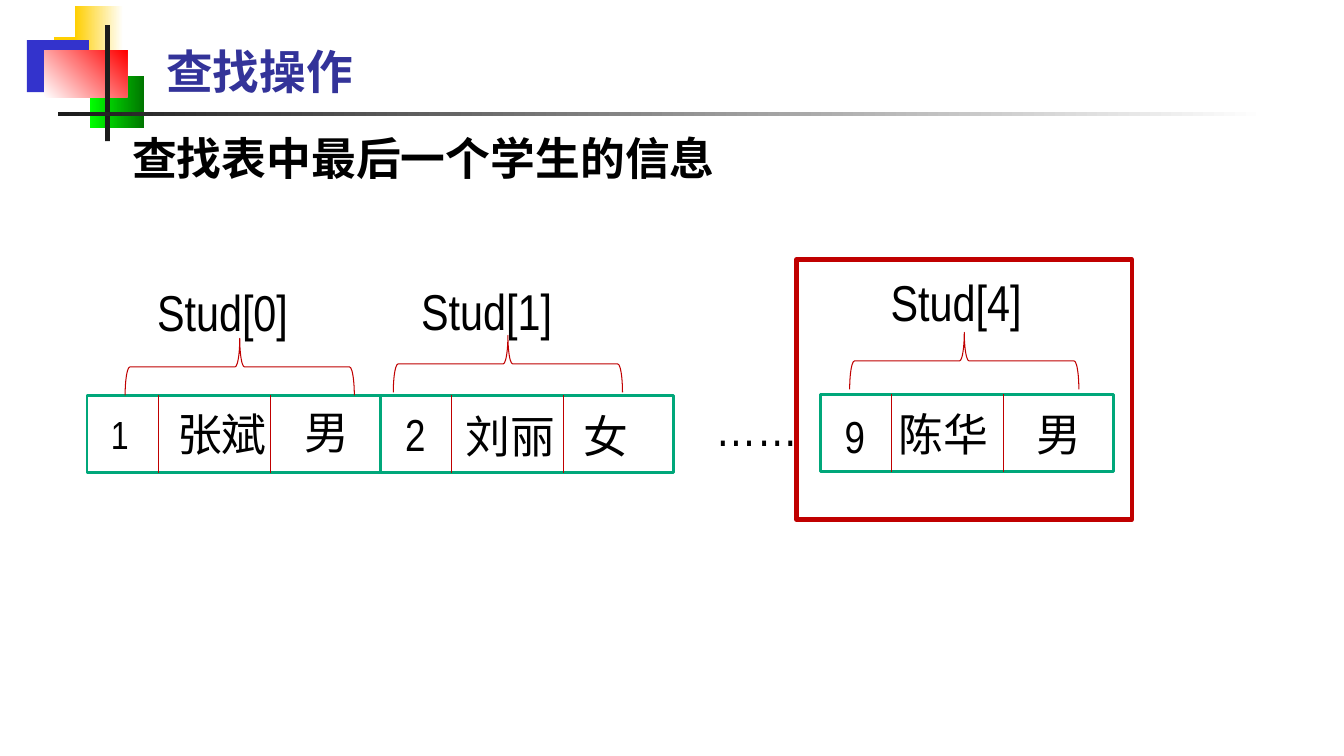
import pptx
import pptx.util
import pptx.dml.color
import pptx.enum.shapes
import pptx.enum.text
import pptx.oxml.ns
import lxml.etree

RGB = pptx.dml.color.RGBColor
SHAPE = pptx.enum.shapes.MSO_SHAPE
YELLOW, BLUE, WHITE = RGB(0xFF, 0xCF, 0x01), RGB(0x33, 0x33, 0xCC), RGB(0xFF, 0xFF, 0xFF)
LIME, GREEN, RED = RGB(0x00, 0xFF, 0x00), RGB(0x00, 0x76, 0x00), RGB(0xFF, 0x00, 0x00)
CHARCOAL, BLACK, INDIGO = RGB(0x1C, 0x1C, 0x1C), RGB(0, 0, 0), RGB(0x33, 0x33, 0x99)
TEAL, CRIMSON = RGB(0x00, 0xA7, 0x7A), RGB(0xC0, 0x00, 0x00)
NARROW, SANS = "Arial Narrow", "Noto Sans CJK SC"

# Content: all lengths in px
TITLE = ("查找操作", (156, 44, 836, 69))
SUBTITLE = ("查找表中最后一个学生的信息", (122, 125, 749, 76))
ELLIPSIS = ("……", (705, 391, 154, 70))
FRAME = (796, 259, 335, 260)
# Box, first colour, second colour, gradient angle
ORNAMENTS = [
    ((54, 37, 64, 52), YELLOW, None, 0),
    ((75, 6, 48, 52), YELLOW, WHITE, 0),
    ((27, 40, 62, 52), BLUE, None, 0),
    ((90, 76, 54, 52), LIME, GREEN, 0),
    ((44, 50, 83, 47), WHITE, RED, 45),
    ((105, 25, 5, 116), CHARCOAL, None, 0),
    ((58, 112, 1208, 4), CHARCOAL, WHITE, 0),
]
# Record corner, brace corner, label, label corner, fields (text, left, top, size)
RECORDS = [
    ((87, 395), (125, 338), "Stud[0]", (147, 276),
     [("1", 101, 405, 28), ("张斌", 167, 401, 32), ("男", 294, 399, 32)]),
    ((380, 395), (393, 335), "Stud[1]", (411, 275),
     [("2", 395, 401, 32), ("刘丽", 455, 403, 32), ("女", 573, 403, 32)]),
    ((820, 394), (849, 332), "Stud[4]", (880, 266),
     [("9", 834, 403, 32), ("陈华", 888, 401, 32), ("男", 1026, 401, 32)]),
]
RECORD_W, RECORD_H = 293, 77
DIVIDERS = (71, 183)
FIELD_WIDTHS = (60, 120, 80)
BRACE_W, BRACE_H = 229, 57

SCALE = 9080  # EMU per px


def emu(lengths):
    return [round(length * SCALE) for length in lengths]


def write(holder, text, size, color=BLACK, font=NARROW, bold=False):
    frame = holder.text_frame
    frame.word_wrap = True
    frame.auto_size = pptx.enum.text.MSO_AUTO_SIZE.NONE
    frame.vertical_anchor = pptx.enum.text.MSO_ANCHOR.TOP
    paragraph = frame.paragraphs[0]
    paragraph.alignment = pptx.enum.text.PP_ALIGN.LEFT
    paragraph.space_before = pptx.util.Pt(0)
    run = paragraph.add_run()
    run.text = text
    run.font.size, run.font.bold = pptx.util.Pt(size), bold
    run.font.color.rgb, run.font.name = color, font
    east_asian = lxml.etree.SubElement(run.font._element, pptx.oxml.ns.qn("a:ea"))
    east_asian.set("typeface", font)
    return paragraph


def add_text(slide, text, box, size):
    write(slide.shapes.add_textbox(*emu(box)), text, size)


def add_outline(slide, kind, box, color, width):
    outline = slide.shapes.add_shape(kind, *emu(box))
    outline.shadow.inherit = False
    outline.fill.background()
    outline.line.color.rgb = color
    outline.line.width = pptx.util.Pt(width)
    return outline


def add_ornament(slide, box, first, second, angle):
    ornament = slide.shapes.add_shape(SHAPE.RECTANGLE, *emu(box))
    ornament.shadow.inherit = False
    ornament.line.fill.background()
    if second is None:
        ornament.fill.solid()
        ornament.fill.fore_color.rgb = first
        return
    ornament.fill.gradient()
    ornament.fill.gradient_angle = angle
    for stop, color in zip(ornament.fill.gradient_stops, (first, second)):
        stop.color.rgb = color


def add_divider(slide, x, top):
    divider = slide.shapes.add_connector(
        pptx.enum.shapes.MSO_CONNECTOR.STRAIGHT, *emu((x, top, x, top + RECORD_H)))
    divider.line.color.rgb = CRIMSON
    divider.line.width = pptx.util.Pt(0.75)
    lxml.etree.SubElement(divider._element.spPr, pptx.oxml.ns.qn("a:effectLst"))


def add_record(slide, corner, brace_corner, label, label_corner, fields):
    left, top = corner
    for (text, x, y, size), width in zip(fields, FIELD_WIDTHS):
        add_text(slide, text, (x, y, width, 64), size)
    add_outline(slide, SHAPE.RECTANGLE, (left, top, RECORD_W, RECORD_H), TEAL, 2)
    for offset in DIVIDERS:
        add_divider(slide, left + offset, top)
    # The brace is upright before its quarter turn about the centre
    shift = (BRACE_W - BRACE_H) / 2
    brace_box = (brace_corner[0] + shift, brace_corner[1] - shift, BRACE_H, BRACE_W)
    add_outline(slide, SHAPE.LEFT_BRACE, brace_box, CRIMSON, 0.75).rotation = 90
    add_text(slide, label, (*label_corner, 184, 70), 36)


def main():
    deck = pptx.Presentation()
    deck.slide_width, deck.slide_height = emu((1343, 755))
    slide = deck.slides.add_slide(deck.slide_layouts[1])

    # Corner ornament and rule
    for ornament in ORNAMENTS:
        add_ornament(slide, *ornament)

    # Title and subtitle
    title, subtitle = slide.placeholders
    for holder, (_, box) in ((title, TITLE), (subtitle, SUBTITLE)):
        holder.left, holder.top, holder.width, holder.height = emu(box)
    write(title, TITLE[0], 33.3, INDIGO, bold=True).line_spacing = 0.9
    properties = write(subtitle, SUBTITLE[0], 32, font=SANS, bold=True)._p.get_or_add_pPr()
    properties.set("marL", "0")
    properties.set("indent", "0")
    lxml.etree.SubElement(properties, pptx.oxml.ns.qn("a:buNone"))

    # Student records
    add_text(slide, *ELLIPSIS, 36)
    for record in RECORDS:
        add_record(slide, *record)

    # Frame around the last student
    add_outline(slide, SHAPE.RECTANGLE, FRAME, CRIMSON, 3.25)
    deck.save("out.pptx")


if __name__ == "__main__":
    main()
